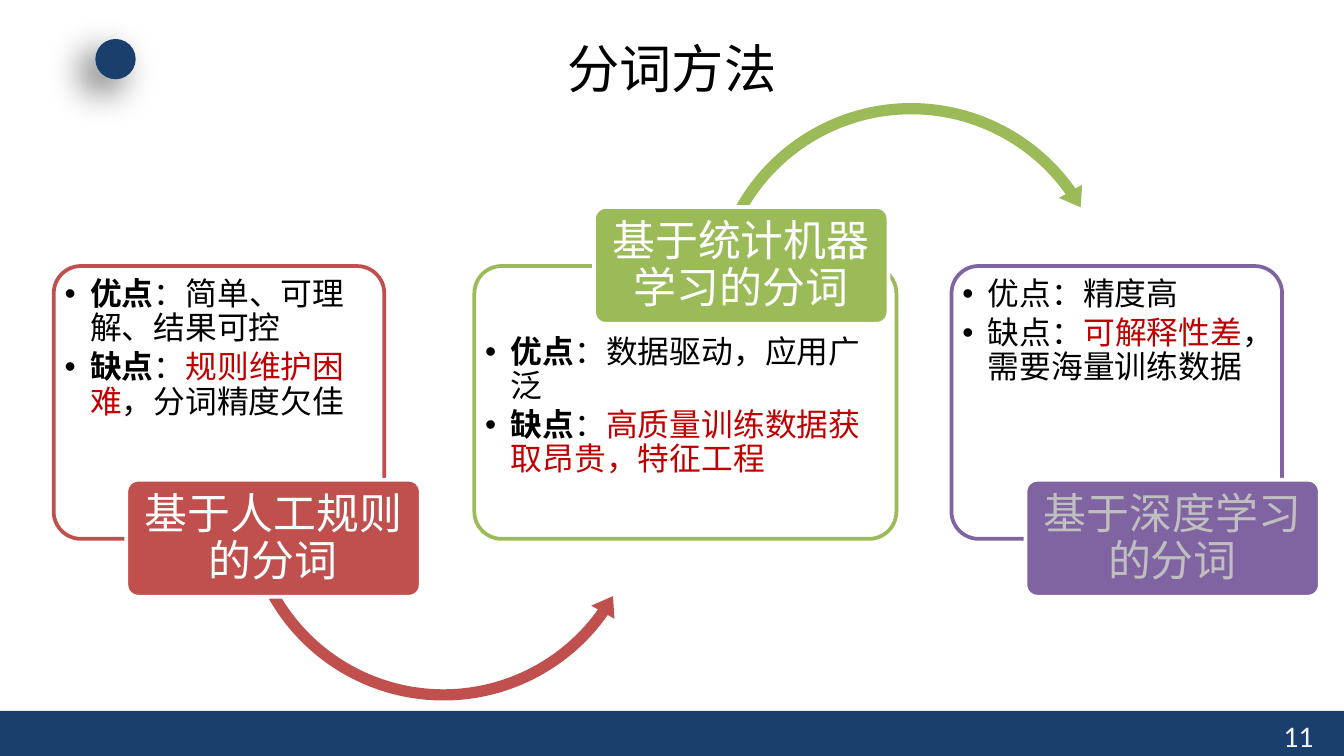
from dataclasses import dataclass
from typing import Optional

from lxml import etree
from pptx import Presentation
from pptx.dml.color import RGBColor
from pptx.enum.shapes import MSO_SHAPE
from pptx.enum.text import MSO_ANCHOR, PP_ALIGN
from pptx.oxml.ns import qn
from pptx.util import Inches, Pt

RECT, OVAL, ROUND = MSO_SHAPE.RECTANGLE, MSO_SHAPE.OVAL, MSO_SHAPE.ROUNDED_RECTANGLE
ARC_UNDER, ARC_OVER = MSO_SHAPE.LEFT_CIRCULAR_ARROW, MSO_SHAPE.CIRCULAR_ARROW
TOP, MIDDLE = MSO_ANCHOR.TOP, MSO_ANCHOR.MIDDLE
LEFT, CENTER = PP_ALIGN.LEFT, PP_ALIGN.CENTER

NAVY = RGBColor(0x1A, 0x3F, 0x6C)
RED = RGBColor(0xC0, 0x50, 0x4D)
GREEN = RGBColor(0x9B, 0xBB, 0x59)
PURPLE = RGBColor(0x80, 0x64, 0xA2)
ACCENT = RGBColor(0xC0, 0x00, 0x00)
BLACK = RGBColor(0, 0, 0)
WHITE = RGBColor(0xFF, 0xFF, 0xFF)
PALE = RGBColor(0xF2, 0xF2, 0xF2)
GREY = RGBColor(0xBF, 0xBF, 0xBF)

LATIN, CJK, BULLET_FONT = "Calibri", "Noto Sans CJK SC", "Arial"
SLIDE_W = 10
SLIDE_H = SLIDE_W * 9 / 16
CARD_TOP, CARD_H = 1.98, 2.03
LABEL_W, LABEL_H = 2.19, 0.87
ARC_SIZE = 3.1


@dataclass
class Span:
    text: str
    color: RGBColor = BLACK
    bold: bool = False


@dataclass
class Arc:
    kind: int
    left: float
    top: float
    end: float    # degrees
    start: float  # degrees


@dataclass
class Method:
    name: str
    color: RGBColor
    left: float
    width: float
    label_left: float
    label_top: float
    text_top: float
    points: list[list[Span]]
    arc: Optional[Arc] = None
    name_color: RGBColor = WHITE


METHODS = [
    Method("基于人工规则的分词", RED, 0.4, 2.46, 0.94, 3.57, 2.03,
           [[Span("优点", bold=True), Span("：简单、可理解、结果可控")],
            [Span("缺点", bold=True), Span("："), Span("规则维护困难", ACCENT),
             Span("，分词精度欠佳")]],
           Arc(ARC_UNDER, 1.75, 2.17, 35.17, 150.41)),
    Method("基于统计机器学习的分词", GREEN, 3.53, 3.14, 4.42, 1.54, 2.46,
           [[Span("优点", bold=True), Span("：数据驱动，应用广泛")],
            [Span("缺点", bold=True), Span("："),
             Span("高质量训练数据获取昂贵，特征工程", ACCENT)]],
           Arc(ARC_OVER, 5.23, 0.71, 324.83, 209.59)),
    Method("基于深度学习的分词", PURPLE, 7.08, 2.46, 7.63, 3.57, 2.03,
           [[Span("优点：精度高")],
            [Span("缺点："), Span("可解释性差", ACCENT), Span("，需要海量训练数据")]],
           name_color=GREY),
]


def add_box(s, kind: int, x: float, y: float, w: float, h: float,
            fill: RGBColor, line: Optional[RGBColor] = None):
    sp = s.shapes.add_shape(kind, Inches(x), Inches(y), Inches(w), Inches(h))
    sp.shadow.inherit = False
    sp.fill.solid()
    sp.fill.fore_color.rgb = fill
    if line is None:
        sp.line.fill.background()
    else:
        sp.line.color.rgb = line
        sp.line.width = Pt(2)
    if kind == ROUND:
        sp.adjustments[0] = 0.1
    return sp


def add_bullet(p) -> None:
    pPr = p._p.get_or_add_pPr()
    pPr.set("marL", str(Inches(0.19)))
    pPr.set("indent", str(-Inches(0.19)))
    etree.SubElement(pPr, qn("a:buFont")).set("typeface", BULLET_FONT)
    etree.SubElement(pPr, qn("a:buChar")).set("char", "•")


def add_text(s, x: float, y: float, w: float, h: float, paragraphs: list[list[Span]],
             size: float, align=LEFT, anchor=TOP, inset: tuple = (0.1, 0.05),
             spacing: float = 1.0, bullets: bool = False, latin: str = LATIN) -> None:
    tf = s.shapes.add_textbox(Inches(x), Inches(y), Inches(w), Inches(h)).text_frame
    tf.word_wrap = True
    tf.vertical_anchor = anchor
    tf.margin_left = tf.margin_right = Inches(inset[0])
    tf.margin_top = tf.margin_bottom = Inches(inset[1])
    for i, spans in enumerate(paragraphs):
        p = tf.paragraphs[0] if i == 0 else tf.add_paragraph()
        p.alignment = align
        p.line_spacing = spacing
        if bullets:
            p.space_after = Pt(2.5)
            add_bullet(p)
        for span in spans:
            r = p.add_run()
            r.text = span.text
            r.font.size = Pt(size)
            r.font.name = latin
            r.font.bold = span.bold
            r.font.color.rgb = span.color
            etree.SubElement(r._r.get_or_add_rPr(), qn("a:ea")).set("typeface", CJK)


def add_soft_shadow(sp) -> None:
    effects = sp._element.spPr.find(qn("a:effectLst"))
    shadow = etree.SubElement(effects, qn("a:outerShdw"), blurRad=str(Pt(20)),
                              dist=str(Pt(10)), dir=str(135 * 60000))
    color = etree.SubElement(shadow, qn("a:srgbClr"), val=str(BLACK))
    etree.SubElement(color, qn("a:alpha"), val="60000")


def add_arc(s, arc: Arc, color: RGBColor) -> None:
    sp = add_box(s, arc.kind, arc.left, arc.top, ARC_SIZE, ARC_SIZE, color)
    # Angles are stored in 1/60000 degree, adjustments in 1/100000
    values = (0.027, 5.58 * 0.6, arc.end * 0.6, arc.start * 0.6, 0.032)
    for i, value in enumerate(values):
        sp.adjustments[i] = value


def add_method(s, m: Method) -> None:
    add_box(s, ROUND, m.left, CARD_TOP, m.width, CARD_H, WHITE, m.color)
    add_text(s, m.left + 0.04, m.text_top, m.width - 0.09, 1.5, m.points, 17,
             inset=(0.04, 0.04), spacing=0.9, bullets=True)
    if m.arc:
        add_arc(s, m.arc, m.color)
    add_box(s, ROUND, m.label_left, m.label_top, LABEL_W, LABEL_H, m.color, WHITE)
    add_text(s, m.label_left + 0.03, m.label_top + 0.03, LABEL_W - 0.06, LABEL_H - 0.05,
             [[Span(m.name, m.name_color)]], 23, CENTER, MIDDLE, (0.05, 0.03), 0.9)


def main() -> None:
    prs = Presentation()
    prs.slide_width, prs.slide_height = Inches(SLIDE_W), Inches(SLIDE_H)
    s = prs.slides.add_slide(prs.slide_layouts[6])

    # Footer bar, page number and corner dot
    add_box(s, RECT, 0, 5.29, SLIDE_W, SLIDE_H - 5.29, NAVY)
    add_text(s, 9.45, 5.29, 0.5, 0.3, [[Span("11", PALE)]], 16)
    add_soft_shadow(add_box(s, OVAL, 0.71, 0.29, 0.3, 0.3, NAVY))

    # Three segmentation methods
    for method in METHODS:
        add_method(s, method)

    # Title
    add_text(s, 0.5, 0.23, 9, 0.55, [[Span("分词方法")]], 28, CENTER, MIDDLE, latin=CJK)
    prs.save("out.pptx")


if __name__ == "__main__":
    main()
